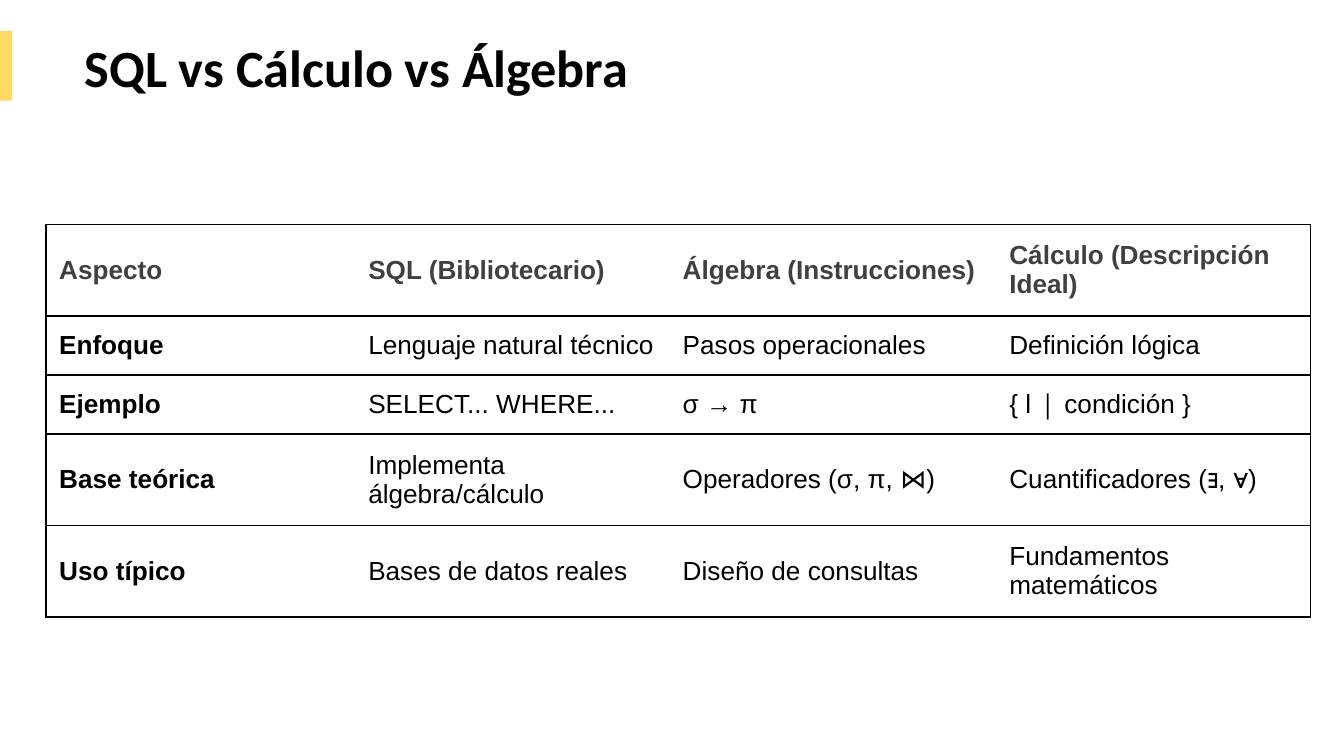
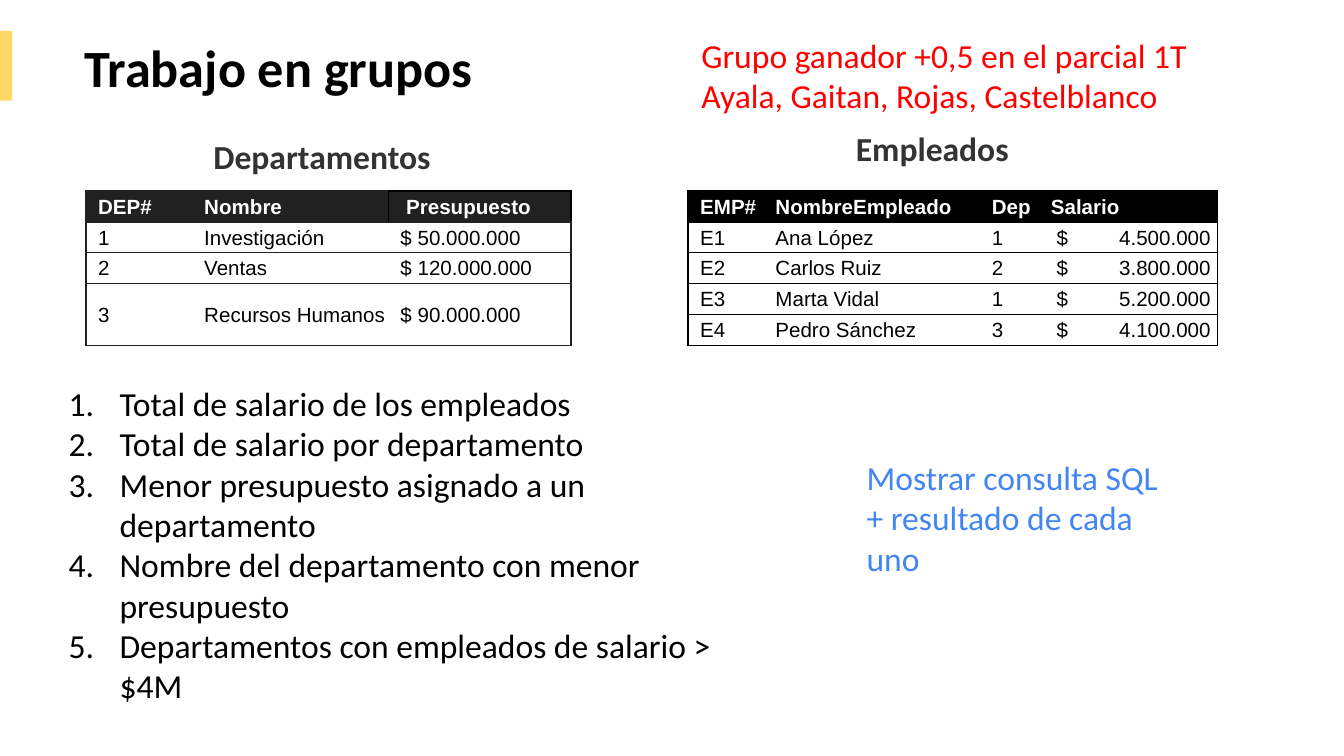
from dataclasses import dataclass

from lxml import etree
from pptx import Presentation
from pptx import util as u
from pptx.dml.color import RGBColor
from pptx.enum import shapes, text
from pptx.oxml.ns import qn

PX = 9144  # EMU per px, 100 px to the inch
NO_STYLE = "{2D5ABB26-0587-4C30-8999-92F81FD0307C}"


@dataclass(frozen=True)
class Theme:
    head: str = "Calibri"
    cell: str = "Arial"
    black: str = "000000"
    white: str = "FFFFFF"
    band: str = "FFD966"
    ink: str = "212121"
    label: str = "333333"
    grey: str = "404040"
    red: str = "FF0000"
    blue: str = "4285F4"
    title_size: int = 28
    body_size: int = 18
    table_size: int = 14
    data_size: int = 11


T = Theme()


def px(*lengths):
    return [u.Emu(n * PX) for n in lengths]


def write(p, words, font=T.head, size=T.body_size, color=T.black, bold=False):
    """Add one formatted, left-aligned run to a paragraph."""
    p.alignment = text.PP_ALIGN.LEFT
    p.space_before = u.Pt(0)
    r = p.add_run()
    r.text = words
    r.font.name, r.font.size, r.font.bold = font, u.Pt(size), bold
    r.font.color.rgb = RGBColor.from_string(color)


def sub(parent, tag, **attrs):
    return etree.SubElement(parent, qn(tag), {k: str(v) for k, v in attrs.items()})


def border(cell, sides):
    """Draw 1 pt cell edges; sides maps L, R, T, B to colours."""
    tc_pr = cell._tc.get_or_add_tcPr()
    for side in "LRTB":
        if side in sides:
            ln = sub(tc_pr, "a:ln" + side, w=u.Pt(1))
            sub(sub(ln, "a:solidFill"), "a:srgbClr", val=sides[side])


class Deck:
    def __init__(self, width):
        """Open a 16:9 deck."""
        self.prs = Presentation()
        self.prs.slide_width = u.Emu(width * PX)
        self.prs.slide_height = u.Emu(width * PX * 9 // 16)
        self.s = None

    def slide(self, title, width, layout=5):
        """Start a slide with the yellow band and the title."""
        self.s = self.prs.slides.add_slide(self.prs.slide_layouts[layout])
        sp = self.s.shapes.add_shape(shapes.MSO_SHAPE.RECTANGLE, *px(0, 23, 9, 52))
        sp.shadow.inherit = False
        sp.fill.solid()
        sp.fill.fore_color.rgb = RGBColor.from_string(T.band)
        sp.line.fill.background()
        self.fill(self.s.shapes.title, (53, 16, width, 67), [title],
                  size=T.title_size, bold=True)

    def fill(self, sp, at, lines, pad=10, **fmt):
        """Place a text shape and write its paragraphs."""
        sp.left, sp.top, sp.width, sp.height = px(*at)
        tf = sp.text_frame
        tf.word_wrap = True
        tf.auto_size = text.MSO_AUTO_SIZE.NONE
        tf.vertical_anchor = text.MSO_ANCHOR.TOP
        tf.margin_left, tf.margin_right, tf.margin_top, tf.margin_bottom = px(10, 10, pad, pad)
        for i, line in enumerate(lines):
            write(tf.add_paragraph() if i else tf.paragraphs[0], line, **fmt)
        return tf

    def text(self, at, *lines, **fmt):
        self.fill(self.s.shapes.add_textbox(*px(*at)), at, lines, **fmt)

    def numbered(self, at, *lines):
        tf = self.fill(self.s.placeholders[1], at, lines)
        for p in tf.paragraphs:
            p_pr = p._p.get_or_add_pPr()
            p_pr.set("marL", str(38 * PX))
            p_pr.set("indent", str(-38 * PX))
            sub(sub(p_pr, "a:buClr"), "a:srgbClr", val=T.black)
            sub(p_pr, "a:buFont", typeface=T.head)
            sub(p_pr, "a:buAutoNum", type="arabicPeriod")

    def table(self, left, top, cols, heights, rows, size=T.data_size, pads=(9, 1, 1, 0),
              head=T.black, head_ink=T.white, edge=T.black, bold_first=False,
              boxed=None, tab=None):
        """Table with ruled rows, an outer frame and one optional boxed cell."""
        frame = self.s.shapes.add_table(len(rows), len(cols),
                                        *px(left, top, sum(cols), sum(heights)))
        tb = frame.table
        tb._tbl.tblPr.find(qn("a:tableStyleId")).text = NO_STYLE
        tb.horz_banding = False
        for col, width in zip(tb.columns, px(*cols)):
            col.width = width
        for row, height in zip(tb.rows, px(*heights)):
            row.height = height
        for i, row in enumerate(rows):
            for j, words in enumerate(row):
                cell = tb.cell(i, j)
                sides = {"T": edge, "B": edge}
                if j == 0:
                    sides["L"] = edge
                if j == len(cols) - 1:
                    sides["R"] = edge
                if (i, j) == boxed:
                    sides = dict.fromkeys("LRTB", T.black)
                border(cell, sides)
                cell.fill.solid()
                cell.fill.fore_color.rgb = RGBColor.from_string(T.white if i else head)
                cell.vertical_anchor = text.MSO_ANCHOR.MIDDLE
                (cell.margin_left, cell.margin_top,
                 cell.margin_right, cell.margin_bottom) = px(*pads)
                p = cell.text_frame.paragraphs[0]
                if "\t" in words:
                    tabs = sub(p._p.get_or_add_pPr(), "a:tabLst")
                    sub(tabs, "a:tab", pos=tab * PX, algn="r")
                write(p, words, T.cell, size, T.black if i else head_ink,
                      i == 0 or (bold_first and j == 0))


def main():
    d = Deck(1000)

    # Comparison of the three languages
    d.slide("SQL vs Cálculo vs Álgebra", 598)
    d.table(34, 167, (230, 234, 243, 234), (68, 44, 44, 68, 68), [
        ("Aspecto", "SQL (Bibliotecario)", "Álgebra (Instrucciones)",
         "Cálculo (Descripción Ideal)"),
        ("Enfoque", "Lenguaje natural técnico", "Pasos operacionales", "Definición lógica"),
        ("Ejemplo", "SELECT... WHERE...", "σ → π", "{ l ∣ condición }"),
        ("Base teórica", "Implementa álgebra/cálculo", "Operadores (σ, π, ⋈)",
         "Cuantificadores (∃, ∀)"),
        ("Uso típico", "Bases de datos reales", "Diseño de consultas",
         "Fundamentos matemáticos"),
    ], size=T.table_size, pads=(10, 10, 10, 10), head=T.white, head_ink=T.grey,
        bold_first=True)

    # Group work: departments
    d.slide("Trabajo en grupos", 645, layout=1)
    d.table(64, 142, (79, 146, 136), (23, 23, 23, 46), [
        ("DEP#", "Nombre", " Presupuesto"),
        ("1", "Investigación", "$ 50.000.000"),
        ("2", "Ventas", "$ 120.000.000"),
        ("3", "Recursos Humanos", "$ 90.000.000"),
    ], head=T.ink, edge=T.ink, boxed=(0, 2))
    d.text((149, 96, 214, 40), "Departamentos", pad=5, color=T.label, bold=True)

    # Group work: employees
    staff = [("Ana López", 1, "4.500.000"), ("Carlos Ruiz", 2, "3.800.000"),
             ("Marta Vidal", 1, "5.200.000"), ("Pedro Sánchez", 3, "4.100.000")]
    d.table(512, 142, (56, 161, 44, 133), [23] * 5,
            [("EMP#", "NombreEmpleado", "Dep", "Salario")]
            + [(f"E{n}", name, str(dep), f" $\t{pay}")
               for n, (name, dep, pay) in enumerate(staff, 1)], tab=119)
    d.text((627, 90, 214, 40), "Empleados", pad=5, color=T.label, bold=True)

    # Exercises and remarks
    d.numbered((41, 275, 501, 287),
               "Total de salario de los empleados",
               "Total de salario por departamento",
               "Menor presupuesto asignado a un departamento",
               "Nombre del departamento con menor presupuesto",
               "Departamentos con empleados de salario > $4M")
    d.text((635, 330, 247, 139), "Mostrar consulta SQL + resultado de cada uno", color=T.blue)
    d.text((512, 16, 501, 82), "Grupo ganador +0,5 en el parcial 1T",
           "Ayala, Gaitan, Rojas, Castelblanco", color=T.red)

    d.prs.save("out.pptx")


if __name__ == "__main__":
    main()
